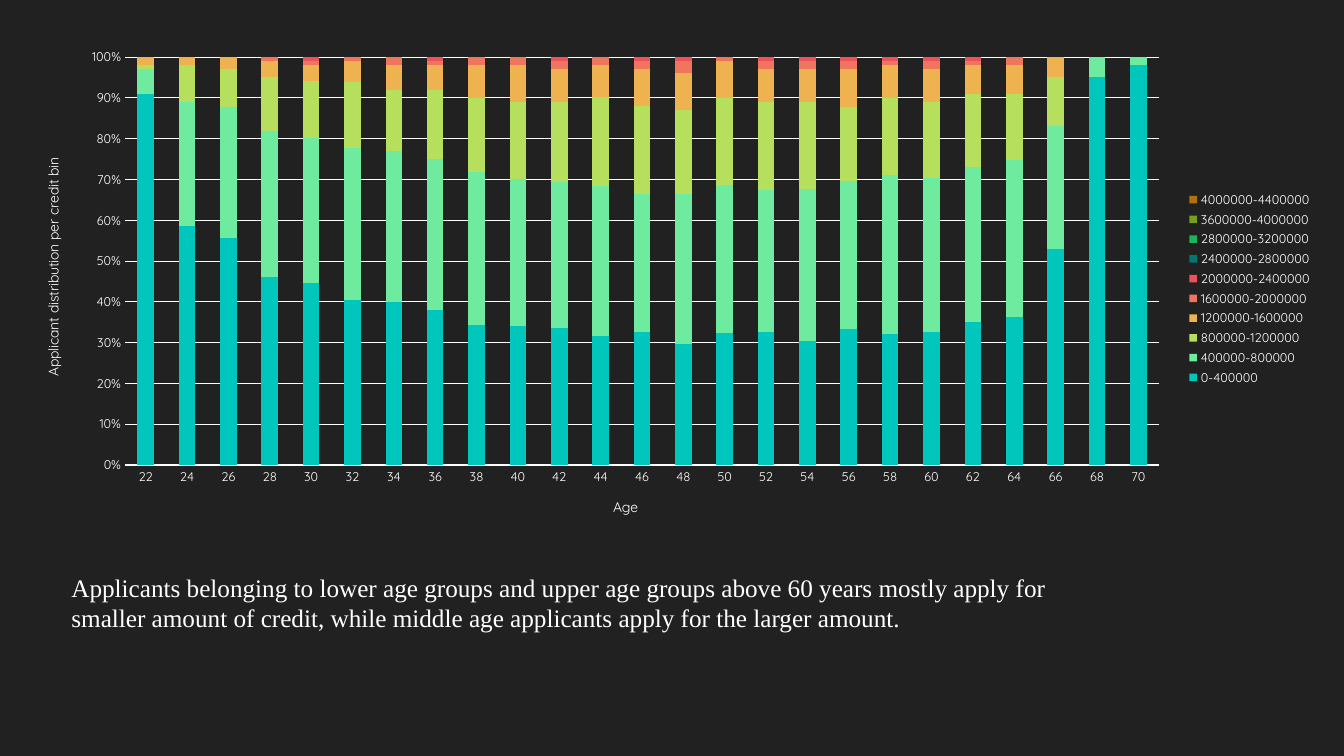
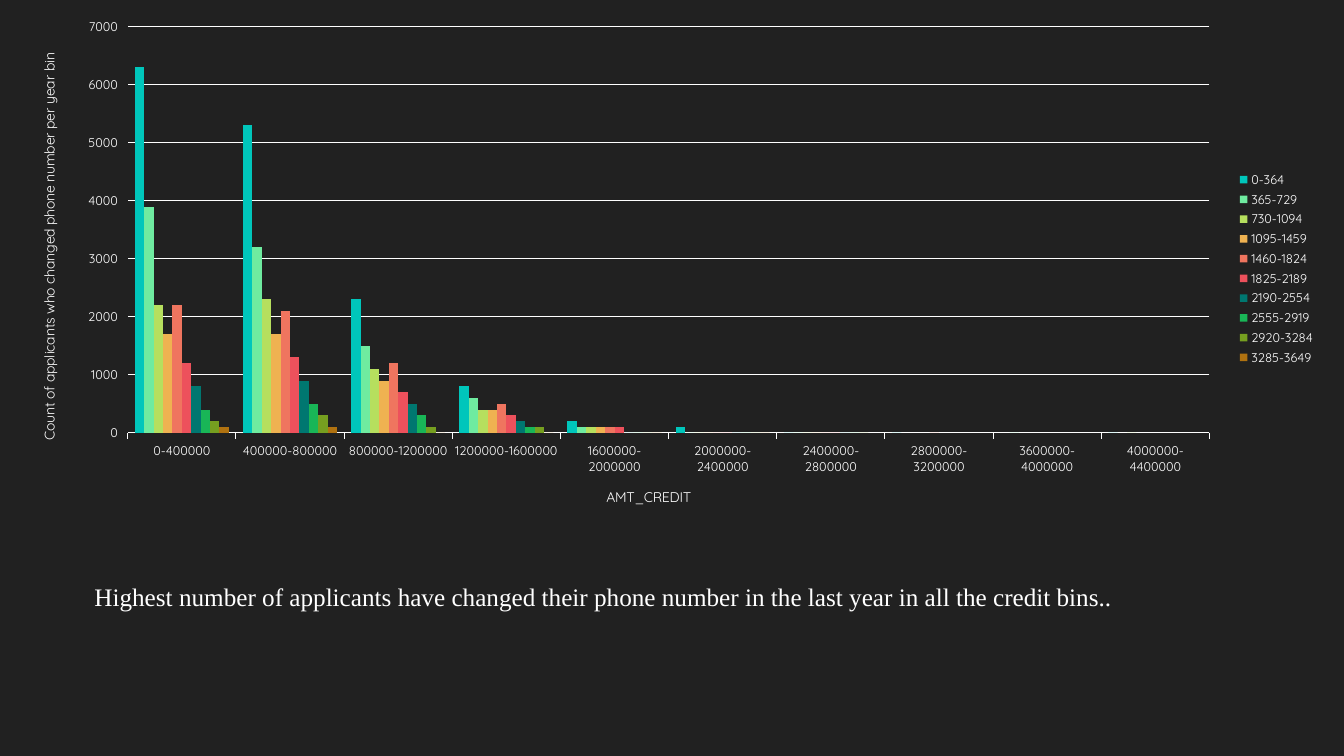
from dataclasses import dataclass

from pptx import Presentation
from pptx.chart.data import CategoryChartData
from pptx.dml.color import RGBColor
from pptx.enum import chart as charts, text
from pptx.oxml import xmlchemy
from pptx.util import Cm, Pt


@dataclass(frozen=True)
class Theme:
    background: str = "212121"
    foreground: str = "FFFFFF"
    series: tuple = (
        "00C6BB", "6FEBA0", "B6DF5E", "EFB251", "EF755F",
        "ED515C", "007770", "19B657", "769F20", "B07210",
    )
    chart_font: str = "Quicksand"
    body_font: str = "Times New Roman"
    label_size: float = 9
    title_size: float = 10
    body_size: float = 18
    line_width: float = 0.75
    gap: int = 150


@dataclass(frozen=True)
class Box:
    left: float
    top: float
    width: float
    height: float

    def lengths(self):
        return Cm(self.left), Cm(self.top), Cm(self.width), Cm(self.height)

    def shares_of(self, outer):
        return {
            "x": self.left / outer.width,
            "y": self.top / outer.height,
            "w": self.width / outer.width,
            "h": self.height / outer.height,
        }


THEME = Theme()

CREDIT_BINS = (
    "0-400000", "400000-800000", "800000-1200000", "1200000-1600000",
    "1600000-2000000", "2000000-2400000", "2400000-2800000",
    "2800000-3200000", "3600000-4000000", "4000000-4400000",
)
AGES = [str(age) for age in range(22, 71, 2)]


def sparse(length, *zeros):
    return [0 if index in zeros else None for index in range(length)]


AGE_SHARES = (
    [90, 58, 55, 46, 45, 40, 40, 38, 34, 34, 34, 32, 33, 30, 32, 33, 30, 33, 32, 33, 35, 36, 53, 95, 98],
    [6, 30, 32, 36, 36, 37, 37, 37, 37, 36, 36, 37, 34, 37, 36, 35, 37, 36, 39, 38, 38, 38, 30, 5, 2],
    [1, 9, 9, 13, 14, 16, 15, 17, 18, 19, 20, 22, 22, 21, 21, 22, 21, 18, 19, 19, 18, 16, 12, 0, None],
    [2, 2, 3, 4, 4, 5, 6, 6, 8, 9, 8, 8, 9, 9, 9, 8, 8, 9, 8, 8, 7, 7, 5, 0, None],
    [None, 0, 0, 1, 1, 1, 2, 1, 2, 2, 2, 2, 2, 3, 1, 2, 2, 2, 1, 2, 1, 2, 0, None, None],
    [None, 0, 0, 0, 1, 0, 0, 1, 0, 0, 1, 0, 1, 1, 0, 1, 1, 1, 1, 1, 1, 0, 0, None, None],
    sparse(25, *range(4, 15), *range(16, 22)),
    sparse(25, 6, 11, 20),
    sparse(25, 16),
    sparse(25, 7, 10),
)
PHONE_COUNTS = {
    "0-364": [6300, 5300, 2300, 800, 200, 100, 0, 0, None, 0],
    "365-729": [3900, 3200, 1500, 600, 100, 0, 0, None, 0, None],
    "730-1094": [2200, 2300, 1100, 400, 100, 0, 0, None, None, 0],
    "1095-1459": [1700, 1700, 900, 400, 100, 0, 0, None, None, None],
    "1460-1824": [2200, 2100, 1200, 500, 100, 0, 0, 0, None, None],
    "1825-2189": [1200, 1300, 700, 300, 100, 0, 0, None, None, None],
    "2190-2554": [800, 900, 500, 200, 0, 0, 0, None, None, None],
    "2555-2919": [400, 500, 300, 100, 0, 0, 0, None, None, None],
    "2920-3284": [200, 300, 100, 100, 0, 0, 0, None, None, None],
    "3285-3649": [100, 100, 0, 0, 0, 0, None, None, None, None],
}


def style_font(font, name=THEME.chart_font, size=THEME.label_size, bold=False):
    font.name = name
    font.size = Pt(size)
    font.bold = bold
    font.color.rgb = RGBColor.from_string(THEME.foreground)


def write_text(frame, words, **format):
    span = frame.paragraphs[0].add_run()
    span.text = words
    style_font(span.font, **format)


def style_line(line):
    line.color.rgb = RGBColor.from_string(THEME.foreground)
    line.width = Pt(THEME.line_width)


def style_axis(axis, title, tick, rotation=0):
    axis.major_tick_mark = tick
    axis.minor_tick_mark = charts.XL_TICK_MARK.NONE
    style_font(axis.tick_labels.font)
    write_text(axis.axis_title.text_frame, title, size=THEME.title_size)
    for body in axis.axis_title.element.xpath(".//a:bodyPr"):
        body.set("rot", str(rotation * 60000))
        body.set("vert", "horz")


def place_plot(chart, shares):
    area = chart.element.xpath(".//c:plotArea")[0]
    for layout in area.xpath("./c:layout"):
        area.remove(layout)
    layout = xmlchemy.OxmlElement("c:layout")
    manual = xmlchemy.OxmlElement("c:manualLayout")
    settings = {"layoutTarget": "inner", "xMode": "edge", "yMode": "edge", **shares}
    for tag, value in settings.items():
        setting = xmlchemy.OxmlElement(f"c:{tag}")
        setting.set("val", str(value))
        manual.append(setting)
    layout.append(manual)
    area.insert(0, layout)


def add_column_chart(page, box, plot_box, kind, categories, series, titles,
                     tick, overlap, top, step, number_format):
    data = CategoryChartData()
    data.categories = categories
    for name, values in series.items():
        data.add_series(name, values)
    chart = page.shapes.add_chart(kind, *box.lengths(), data).chart
    chart.has_title = False
    style_font(chart.font, size=THEME.title_size)

    chart.has_legend = True
    chart.legend.position = charts.XL_LEGEND_POSITION.RIGHT
    chart.legend.include_in_layout = False
    style_font(chart.legend.font)

    plot = chart.plots[0]
    plot.vary_by_categories = False
    plot.gap_width = THEME.gap
    plot.overlap = overlap
    for column, color in zip(plot.series, THEME.series):
        column.invert_if_negative = False
        column.format.fill.solid()
        column.format.fill.fore_color.rgb = RGBColor.from_string(color)

    category_title, value_title = titles
    style_axis(chart.category_axis, category_title, tick)
    style_line(chart.category_axis.format.line)
    axis = chart.value_axis
    style_axis(axis, value_title, tick, rotation=-90)
    axis.format.line.fill.background()
    axis.has_major_gridlines = True
    style_line(axis.major_gridlines.format.line)
    axis.minimum_scale = 0
    axis.maximum_scale = top
    axis.major_unit = step
    axis.tick_labels.number_format = number_format
    axis.tick_labels.number_format_is_linked = False
    place_plot(chart, plot_box.shares_of(box))


def add_remark(page, box, words):
    frame = page.shapes.add_textbox(*box.lengths()).text_frame
    frame.word_wrap = True
    frame.auto_size = text.MSO_AUTO_SIZE.SHAPE_TO_FIT_TEXT
    write_text(frame, words, name=THEME.body_font, size=THEME.body_size)


def add_chart_slide(deck, remark, remark_box, **chart):
    page = deck.slides.add_slide(deck.slide_layouts[6])
    add_column_chart(page, **chart)
    add_remark(page, remark_box, remark)


def main():
    deck = Presentation()
    deck.slide_width, deck.slide_height = Cm(33.87), Cm(19.05)
    fill = deck.slide_master.background.fill
    fill.solid()
    fill.fore_color.rgb = RGBColor.from_string(THEME.background)

    add_chart_slide(
        deck,
        "Applicants belonging to lower age groups and upper age groups above 60 years "
        "mostly apply for smaller amount of credit, while middle age applicants apply "
        "for the larger amount.",
        Box(1.55, 14.3, 26.64, 1.8),
        box=Box(0.53, 1.02, 32.79, 12.5),
        plot_box=Box(2.62, 0.42, 26.06, 10.28),
        kind=charts.XL_CHART_TYPE.COLUMN_STACKED_100,
        categories=AGES,
        series=dict(zip(CREDIT_BINS, AGE_SHARES)),
        titles=("Age", "Applicant distribution per credit bin"),
        tick=charts.XL_TICK_MARK.NONE,
        overlap=100, top=1, step=0.1, number_format="0%",
    )
    add_chart_slide(
        deck,
        "Highest number of applicants have changed their phone number in the last year "
        "in all the credit bins..",
        Box(2.13, 14.53, 28.32, 1.02),
        box=Box(0.43, 0.25, 32.97, 13.03),
        plot_box=Box(2.79, 0.43, 27.26, 10.23),
        kind=charts.XL_CHART_TYPE.COLUMN_CLUSTERED,
        categories=CREDIT_BINS,
        series=PHONE_COUNTS,
        titles=("AMT_CREDIT", "Count of applicants who changed phone number per year bin"),
        tick=charts.XL_TICK_MARK.OUTSIDE,
        overlap=0, top=7000, step=1000, number_format="0",
    )
    deck.save("out.pptx")


if __name__ == "__main__":
    main()
